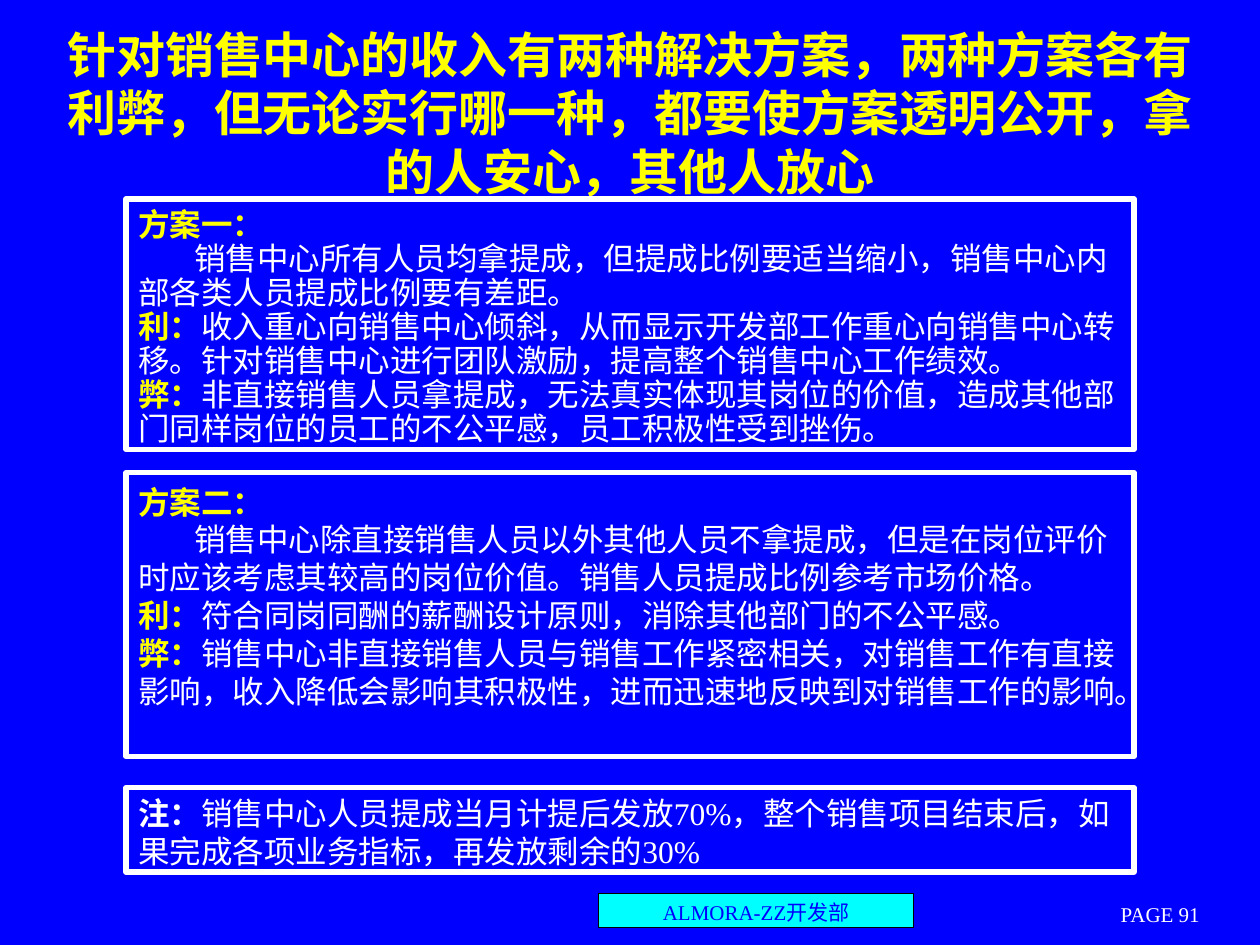
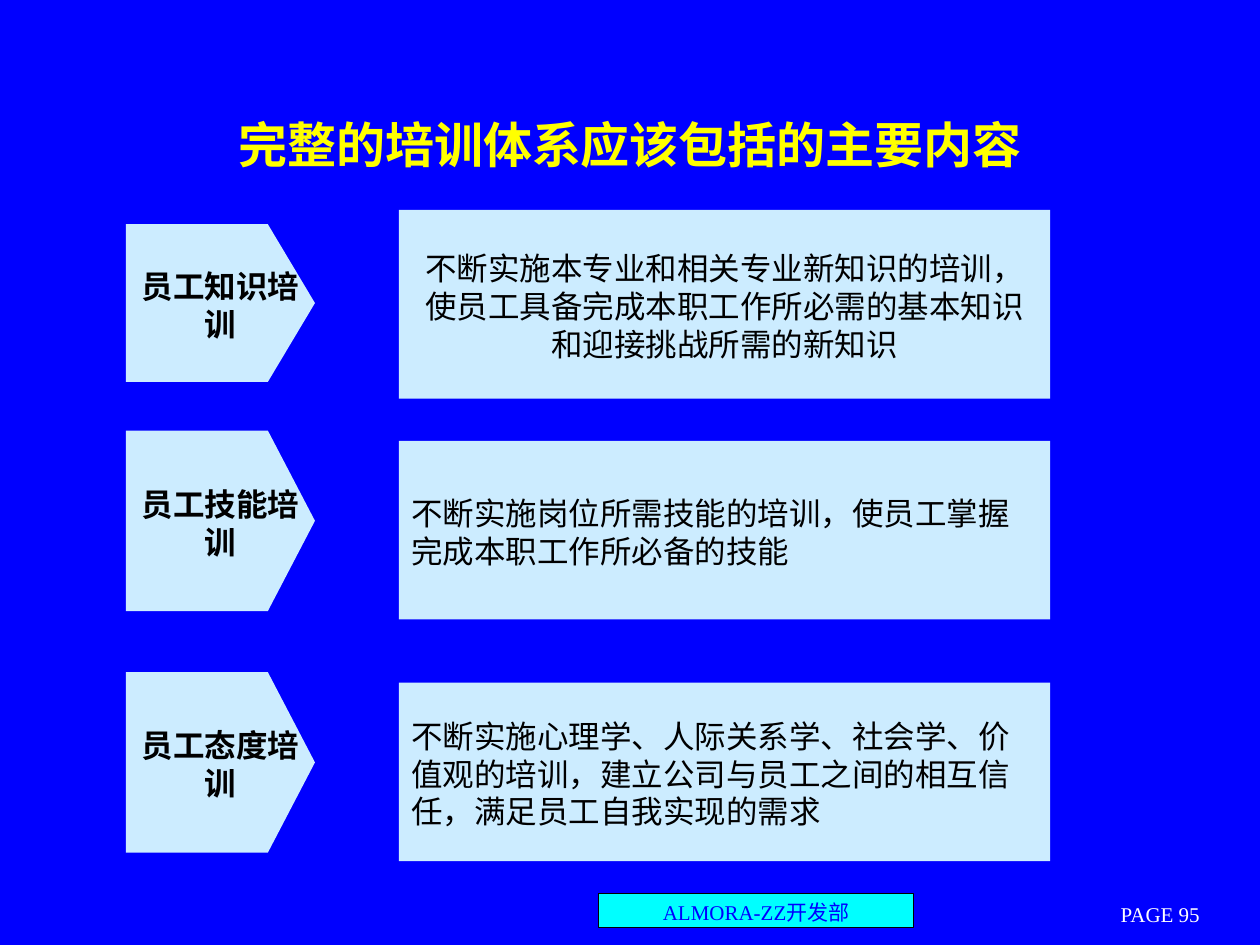
from dataclasses import dataclass

from lxml.etree import SubElement
from pptx import Presentation
from pptx.dml.color import RGBColor
from pptx.enum.shapes import MSO_SHAPE as SHAPE
from pptx.enum.text import MSO_ANCHOR as ANCHOR, PP_ALIGN as ALIGN
from pptx.oxml.ns import qn
from pptx.util import Cm, Pt

FOOTER = "ALMORA-ZZ开发部"

PLANS = {
    "title": "针对销售中心的收入有两种解决方案，两种方案各有利弊，但无论实行哪一种，都要使方案透明公开，拿的人安心，其他人放心",
    "title_box": (0.95, 0.64, 23.5, 3.18),
    "page": 91,
    "boxes": [
        {
            "top": 4.01, "height": 5.05, "tight": 0.9,
            "lines": [
                ("方案一：", ""),
                ("", "销售中心所有人员均拿提成，但提成比例要适当缩小，销售中心内部各类人员提成比例要有差距。"),
                ("利：", "收入重心向销售中心倾斜，从而显示开发部工作重心向销售中心转移。针对销售中心进行团队激励，提高整个销售中心工作绩效。"),
                ("弊：", "非直接销售人员拿提成，无法真实体现其岗位的价值，造成其他部门同样岗位的员工的不公平感，员工积极性受到挫伤。"),
            ],
        },
        {
            "top": 9.53, "height": 5.72,
            "lines": [
                ("方案二：", ""),
                ("", "销售中心除直接销售人员以外其他人员不拿提成，但是在岗位评价时应该考虑其较高的岗位价值。销售人员提成比例参考市场价格。"),
                ("利：", "符合同岗同酬的薪酬设计原则，消除其他部门的不公平感。"),
                ("弊：", "销售中心非直接销售人员与销售工作紧密相关，对销售工作有直接影响，收入降低会影响其积极性，进而迅速地反映到对销售工作的影响。"),
            ],
        },
        {
            "top": 15.88, "height": 1.7, "note": True,
            "lines": [
                ("注：", "销售中心人员提成当月计提后发放70%，整个销售项目结束后，如果完成各项业务指标，再发放剩余的30%"),
            ],
        },
    ],
}

TRAINING = {
    "title": "完整的培训体系应该包括的主要内容",
    "title_box": (1.9, 1.27, 21.6, 3.18),
    "page": 95,
    "rows": [
        ("员工知识培训", 4.52, 3.18,
         "不断实施本专业和相关专业新知识的培训，使员工具备完成本职工作所必需的基本知识和迎接挑战所需的新知识", 4.23, 3.81, ALIGN.CENTER),
        ("员工技能培训", 8.68, 3.64,
         "不断实施岗位所需技能的培训，使员工掌握完成本职工作所必备的技能", 8.89, 3.6, ALIGN.LEFT),
        ("员工态度培训", 13.55, 3.64,
         "不断实施心理学、人际关系学、社会学、价值观的培训，建立公司与员工之间的相互信任，满足员工自我实现的需求", 13.76, 3.6, ALIGN.LEFT),
    ],
}


@dataclass(frozen=True)
class Theme:
    blue: str = "0000FF"
    yellow: str = "FFFF00"
    white: str = "FFFFFF"
    black: str = "000000"
    cyan: str = "00FFFF"
    pale: str = "CCECFF"
    latin: str = "Times New Roman"
    asian: str = "Noto Sans CJK SC"
    title: int = 28
    body: int = 18
    footer: int = 12
    leading: float = 1.2


T = Theme()
LEFT = 2.54


def rgb(color):
    return RGBColor.from_string(color)


def style(p, size, color, bold=False, align=ALIGN.LEFT, tight=1, latin=T.latin):
    f = p.font
    f.size, f.bold, f.name = Pt(size), bold, latin
    f.color.rgb = rgb(color)
    SubElement(f._element, qn("a:ea"), typeface=T.asian)
    p.alignment = align
    p.line_spacing = Pt(size * T.leading * tight)


def frame(sp, anchor=ANCHOR.MIDDLE):
    tf = sp.text_frame
    tf.word_wrap, tf.vertical_anchor = True, anchor
    tf.margin_left = tf.margin_right = Cm(0.25)
    tf.margin_top, tf.margin_bottom = Cm(0.2), Cm(0.13)
    return tf


def write(sp, text, *args, **kwargs):
    p = frame(sp).paragraphs[0]
    p.add_run().text = text
    style(p, *args, **kwargs)


def paint(sp, fill=None, line=None, width=0.75):
    sp.shadow.inherit = False
    if fill:
        sp.fill.solid()
        sp.fill.fore_color.rgb = rgb(fill)
    else:
        sp.fill.background()
    if line:
        sp.line.color.rgb = rgb(line)
        sp.line.width = Pt(width)
    else:
        sp.line.fill.background()


def add_rect(s, box, **look):
    sp = s.shapes.add_shape(SHAPE.RECTANGLE, *map(Cm, box))
    paint(sp, **look)
    return sp


def add_text(s, box, *args, **kwargs):
    write(s.shapes.add_textbox(*map(Cm, box)), *args, **kwargs)


def add_slide(prs, content):
    s = prs.slides.add_slide(prs.slide_layouts[6])
    s.background.fill.solid()
    s.background.fill.fore_color.rgb = rgb(T.blue)
    badge = add_rect(s, (12.07, 18.01, 6.35, 0.69), fill=T.cyan, line=T.black)
    write(badge, FOOTER, T.footer, T.blue, align=ALIGN.CENTER)
    add_text(s, (21.39, 18.08, 4.0, 0.64), f"PAGE {content['page']}",
             T.footer, T.white, align=ALIGN.CENTER)
    add_text(s, content["title_box"], content["title"], T.title, T.yellow,
             bold=True, align=ALIGN.CENTER, latin=T.asian)
    return s


def add_plan(s, box):
    note = box.get("note", False)
    sp = add_rect(s, (LEFT, box["top"], 20.32, box["height"]), line=T.white, width=3)
    tf = frame(sp, ANCHOR.MIDDLE if note else ANCHOR.TOP)
    for i, (label, body) in enumerate(box["lines"]):
        p = tf.add_paragraph() if i else tf.paragraphs[0]
        style(p, T.body, T.white, tight=box.get("tight", 1))
        if label:
            r = p.add_run()
            r.text, r.font.bold = label, True
            r.font.color.rgb = rgb(T.white if note else T.yellow)
        else:
            p._p.get_or_add_pPr().set("indent", str(Cm(1.13)))
        if body:
            p.add_run().text = body


def add_pentagon(s, top, height):
    shoulder, tip, bottom = LEFT + 2.86, LEFT + 3.81, top + height
    points = [(shoulder, top), (tip, top + height / 2), (shoulder, bottom), (LEFT, bottom)]
    fb = s.shapes.build_freeform(Cm(LEFT), Cm(top))
    fb.add_line_segments([(Cm(x), Cm(y)) for x, y in points], close=True)
    sp = fb.convert_to_shape()
    paint(sp, fill=T.pale)
    return sp


def main():
    prs = Presentation()
    prs.slide_width, prs.slide_height = Cm(25.4), Cm(19.05)

    s = add_slide(prs, PLANS)
    for box in PLANS["boxes"]:
        add_plan(s, box)

    s = add_slide(prs, TRAINING)
    for label, top, height, text, text_top, text_height, align in TRAINING["rows"]:
        write(add_pentagon(s, top, height), label, T.body, T.black,
              bold=True, align=ALIGN.CENTER)
        panel = add_rect(s, (8.04, text_top, 13.13, text_height), fill=T.pale)
        write(panel, text, T.body, T.black, align=align)

    prs.save("out.pptx")


if __name__ == "__main__":
    main()
